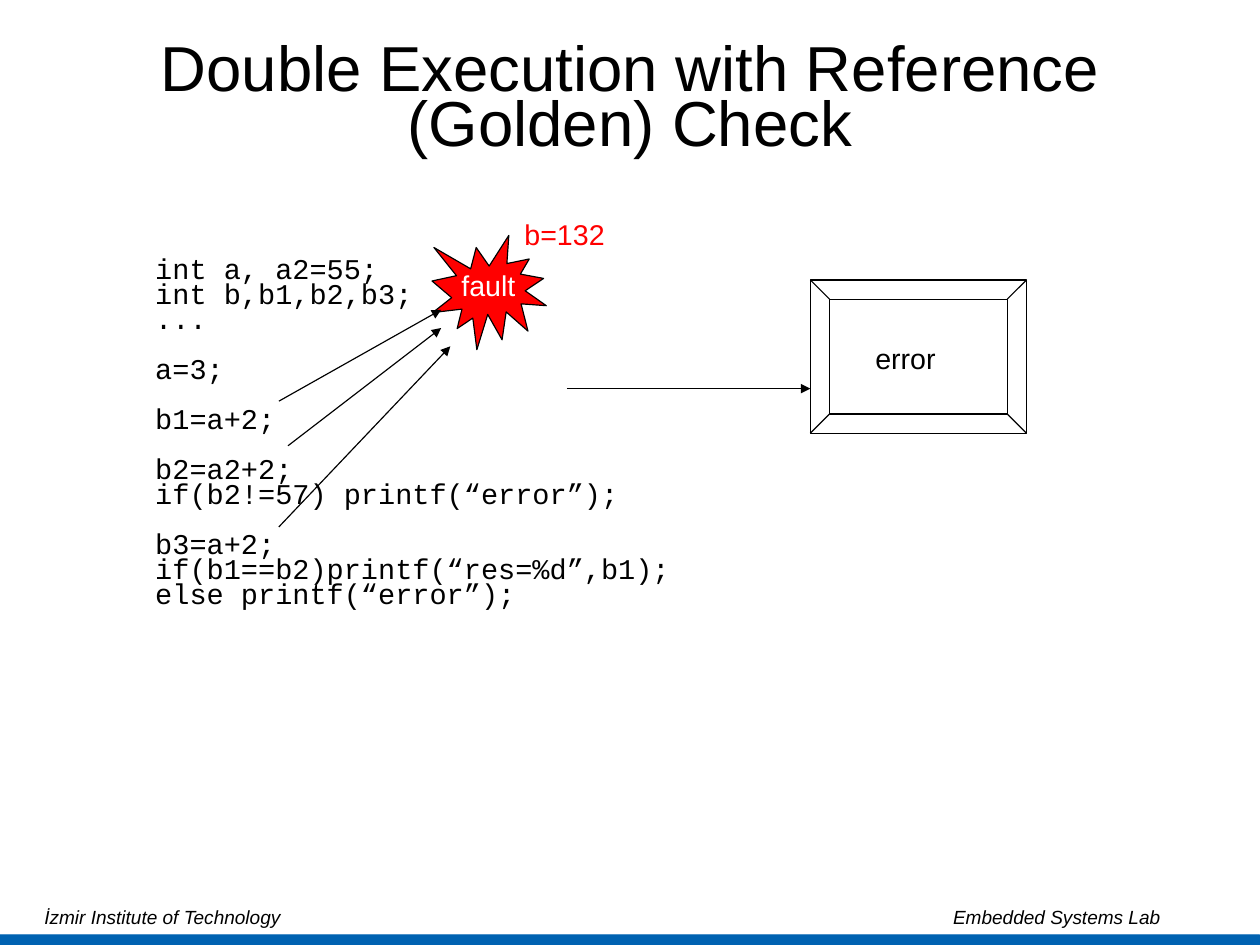
from lxml import etree
from pptx import Presentation
from pptx.dml.color import RGBColor
from pptx.enum.shapes import MSO_CONNECTOR, MSO_SHAPE
from pptx.enum.text import MSO_ANCHOR, PP_ALIGN
from pptx.oxml.ns import qn
from pptx.util import Cm, Inches, Pt

LEFT, CENTER = PP_ALIGN.LEFT, PP_ALIGN.CENTER
TOP, MIDDLE, BOTTOM = MSO_ANCHOR.TOP, MSO_ANCHOR.MIDDLE, MSO_ANCHOR.BOTTOM
BLACK = RGBColor(0, 0, 0)
WHITE = RGBColor(255, 255, 255)
RED = RGBColor(255, 0, 0)
BLUE = RGBColor(0x00, 0x62, 0xB1)
TIGHT = 0.72
LINE_GAP = 0.1
BLANK_LINE = 15.8

deck = Presentation()
deck.slide_width, deck.slide_height = Cm(28), Cm(21)
page = deck.slides.add_slide(deck.slide_layouts[6])


def add_outlined(kind, place, fill, line):
    shape = page.shapes.add_shape(kind, *map(Inches, place))
    shape.shadow.inherit = False
    if fill is None:
        shape.fill.background()
    else:
        shape.fill.solid()
        shape.fill.fore_color.rgb = fill
    shape.line.color.rgb = line
    shape.line.width = Pt(0.75)
    return shape


def write(box, lines, size, color=BLACK, font="Arial", align=LEFT,
          anchor=TOP, spacing=TIGHT, wrap=True):
    """Fill a box with (text, points of space before) lines."""
    frame = box.text_frame
    frame.word_wrap = wrap
    frame.vertical_anchor = anchor
    for number, (text, gap) in enumerate(lines):
        para = frame.add_paragraph() if number else frame.paragraphs[0]
        para.alignment = align
        para.line_spacing = spacing
        para.space_before = Pt(gap)
        para.space_after = Pt(LINE_GAP)
        span = para.add_run()
        span.text = text
        span.font.name = font
        span.font.size = Pt(size)
        span.font.color.rgb = color
    return frame


# Bottom bar
bar = add_outlined(MSO_SHAPE.ROUNDED_RECTANGLE, (0, 8.18, 11.02, 0.09), BLUE, BLUE)
bar.adjustments[0] = 0.02

# Title
title = page.shapes.add_textbox(*map(Inches, (0.81, 0.26, 9.4, 1.28)))
frame = write(title, [("Double Execution with Reference (Golden) Check", LINE_GAP)],
              40, align=CENTER, anchor=MIDDLE)
frame.margin_left = frame.margin_right = frame.margin_top = frame.margin_bottom = 0

# Error frame
add_outlined(MSO_SHAPE.BEVEL, (7.09, 2.45, 1.89, 1.34), None, BLACK)

# Program code, in groups set apart by one line
code_groups = [
    ["int a, a2=55;", "int b,b1,b2,b3;", "..."],
    ["a=3;"],
    ["b1=a+2;"],
    ["b2=a2+2;", "if(b2!=57) printf(“error”);"],
    ["b3=a+2;", "if(b1==b2)printf(“res=%d”,b1);", "else printf(“error”);"],
]
code_lines = [(text, BLANK_LINE if group and not row else LINE_GAP)
              for group, texts in enumerate(code_groups)
              for row, text in enumerate(texts)]
code = page.shapes.add_textbox(*map(Inches, (1.26, 2.22, 4.88, 3.17)))
write(code, code_lines, 18, font="Courier New")

# Fault burst
fault = add_outlined(MSO_SHAPE.EXPLOSION1, (3.78, 2.06, 1, 1), RED, BLACK)
write(fault, [("fault", LINE_GAP)], 18, WHITE, align=CENTER, anchor=MIDDLE, wrap=False)

# Labels
for text, place, color in [("error", (7.56, 3.01, 0.73, 0.32), BLACK),
                           ("b=132", (4.49, 1.93, 0.9, 0.32), RED)]:
    label = page.shapes.add_textbox(*map(Inches, place))
    write(label, [(text, LINE_GAP)], 18, color, wrap=False)

# Arrows to the error frame and to the fault
for ends in [(4.96, 3.4, 7.09, 3.4), (2.44, 3.51, 3.86, 2.71),
             (2.52, 3.9, 3.86, 2.87), (2.44, 4.61, 3.94, 3.03)]:
    arrow = page.shapes.add_connector(MSO_CONNECTOR.STRAIGHT, *map(Inches, ends))
    arrow.line.color.rgb = BLACK
    arrow.line.width = Pt(0.75)
    etree.SubElement(arrow.line._get_or_add_ln(), qn("a:tailEnd"), type="triangle")
    etree.SubElement(arrow._element.spPr, qn("a:effectLst"))

# Footer, its second part set by a tab stop
footer = page.shapes.add_textbox(*map(Inches, (0.29, 7.65, 10.5, 0.52)))
frame = write(footer, [("İzmir Institute of Technology\tEmbedded Systems Lab", LINE_GAP)],
              12, anchor=BOTTOM, spacing=1.16)
para = frame.paragraphs[0]
para.runs[0].font.italic = True
tabs = etree.SubElement(para._p.get_or_add_pPr(), qn("a:tabLst"))
etree.SubElement(tabs, qn("a:tab"), pos=str(Inches(7.95)), algn="l")

deck.save("out.pptx")
